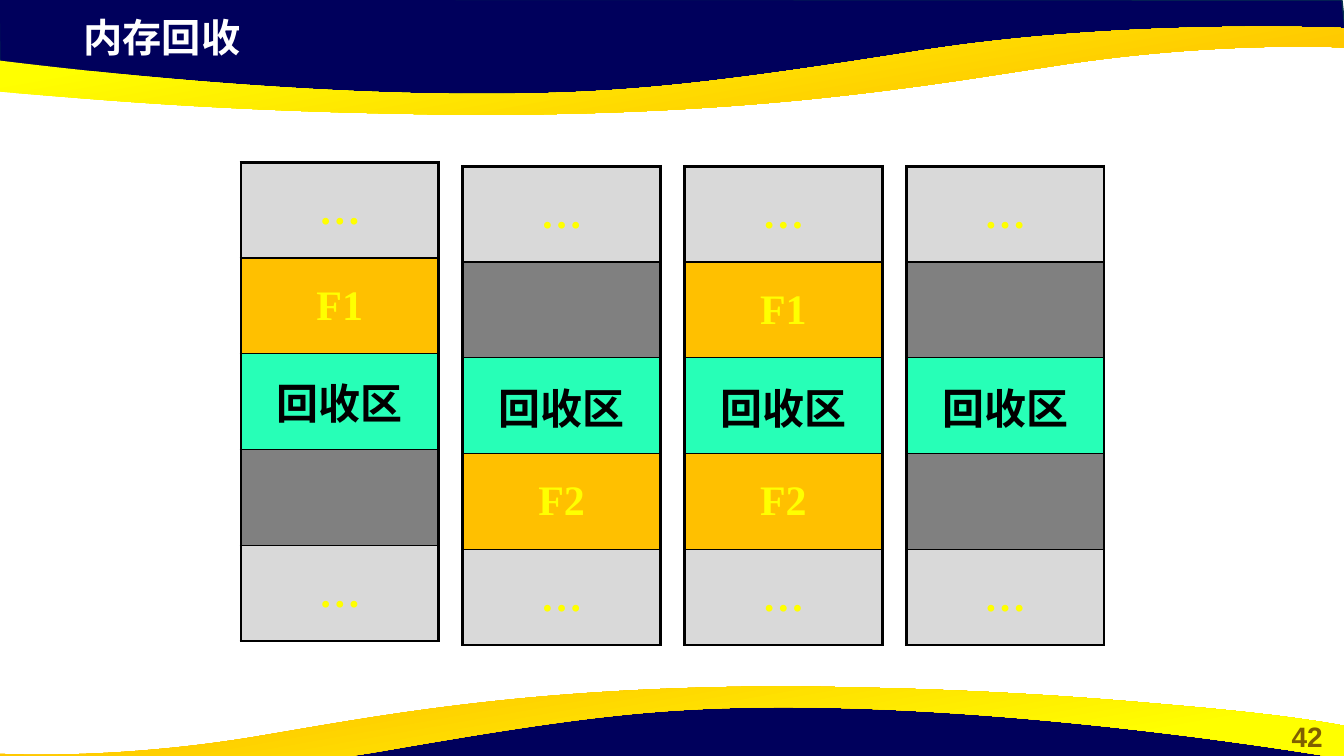
from lxml import etree
from pptx import Presentation
from pptx.dml.color import RGBColor
from pptx.enum.text import MSO_ANCHOR, PP_ALIGN
from pptx.oxml.ns import qn
from pptx.util import Inches, Pt

LEFT, CENTER = PP_ALIGN.LEFT, PP_ALIGN.CENTER
MIDDLE = MSO_ANCHOR.MIDDLE
TITLE_ONLY = 5

COLORS = {
    "navy": "00005C", "navy_edge": "05304F", "gold": "FFC000",
    "yellow": "FFFF00", "white": "FFFFFF", "black": "000000",
    "number": "806000", "other": "D9D9D9", "used": "808080",
    "reclaimed": "27FFB7",
}

CELL_STYLES = {
    "…": ("other", "yellow"),
    "F1": ("gold", "yellow"),
    "F2": ("gold", "yellow"),
    "回收区": ("reclaimed", "black"),
    "": ("used", "black"),
}

MEMORY_CASES = [
    ["…", "F1", "回收区", "", "…"],
    ["…", "", "回收区", "F2", "…"],
    ["…", "F1", "回收区", "F2", "…"],
    ["…", "", "回收区", "", "…"],
]

NAVY_SIZE = (13.36, 1.03)
NAVY_STEPS = [
    [(0, 0)], [(0.01, 0.71)], [(2.94, 1.03)], [(5.6, 1.01)], [(7.96, 0.89)],
    [(10.17, 0.51)], [(12.39, 0.34)], [(13.36, 0.39)], [(13.32, 0.01)],
    [(0, 0)],
]

RIBBON_SIZE = (14.67, 0.88)
RIBBON_STEPS = [
    [(6.16, 0.88)],
    [(5.76, 0.88), (5.34, 0.87), (4.89, 0.86)],
    [(3.39, 0.82), (2.43, 0.74), (1.69, 0.68)],
    [(0.45, 0.58), (0.03, 0.49), (0, 0.49)],
    [(0, 0.16), (0, 0.16), (0, 0.16)],
    [(0, 0.16), (3.51, 0.72), (6.5, 0.67)],
    [(7.59, 0.65), (8.41, 0.57), (10.48, 0.24)],
    [(12.54, -0.08), (14.67, 0.02), (14.67, 0.02)],
    [(14.67, 0.06)],
    [(14.67, 0.21)],
    [(14.63, 0.21)],
    [(14.38, 0.2), (13.28, 0.17), (11.88, 0.38)],
    [(10.51, 0.59), (8.95, 0.87), (6.16, 0.88)],
]


def rgb(name):
    return RGBColor.from_string(COLORS[name])


def write_text(frame, text, size=30, font="Times New Roman", color="black",
               align=CENTER):
    frame.word_wrap = True
    paragraph = frame.paragraphs[0]
    paragraph.alignment = align
    run = paragraph.add_run()
    run.text = text
    run.font.size = Pt(size)
    run.font.name = font
    run.font.bold = True
    run.font.color.rgb = rgb(color)


def place_point(point, box, size, turned):
    left, top, width, height = box
    u, v = point[0] / size[0], point[1] / size[1]
    if turned:
        u, v = 1 - u, 1 - v
    return Inches(left + u * width), Inches(top + v * height)


def draw_outline(slide, box, size, steps, turned):
    placed = [[place_point(point, box, size, turned) for point in step]
              for step in steps]
    builder = slide.shapes.build_freeform(*placed[0][0])
    builder.add_line_segments([step[-1] for step in placed[1:]], close=True)
    outline = builder.convert_to_shape()
    outline.shadow.inherit = False
    segments = list(outline.element.iter(qn("a:lnTo")))
    for segment, step in zip(segments, placed[1:]):
        if len(step) == 3:
            curve = etree.Element(qn("a:cubicBezTo"))
            for x, y in step:
                etree.SubElement(curve, qn("a:pt"), x=str(x - outline.left),
                                 y=str(y - outline.top))
            segment.getparent().replace(segment, curve)
    return outline


def add_wave(slide, navy_box, ribbon_box, turned=False):
    navy = draw_outline(slide, navy_box, NAVY_SIZE, NAVY_STEPS, turned)
    navy.fill.solid()
    navy.fill.fore_color.rgb = rgb("navy")
    navy.line.color.rgb = rgb("navy_edge")
    navy.line.width = Pt(1)

    ribbon = draw_outline(slide, ribbon_box, RIBBON_SIZE, RIBBON_STEPS, turned)
    ribbon.line.fill.background()
    ribbon.fill.gradient()
    ribbon.fill.gradient_angle = 280
    blend = [("gold", 0.11), ("yellow", 0.78)]
    if not turned:
        blend = [("yellow", 0.22), ("gold", 0.89)]
    for stop, (color, position) in zip(ribbon.fill.gradient_stops, blend):
        stop.color.rgb = rgb(color)
        stop.position = position


def set_borders(cell, widths):
    properties = cell._tc.get_or_add_tcPr()
    for index, (side, width) in enumerate(widths.items()):
        border = etree.Element(qn("a:ln" + side), w=str(Pt(width)))
        fill = etree.SubElement(border, qn("a:solidFill"))
        etree.SubElement(fill, qn("a:srgbClr"), val=COLORS["black"])
        properties.insert(index, border)


def add_memory_column(slide, box, blocks):
    memory = slide.shapes.add_table(len(blocks), 1, *map(Inches, box)).table
    memory.first_row = False
    memory.horz_banding = False
    last = len(blocks) - 1
    for row, block in enumerate(blocks):
        fill, color = CELL_STYLES[block]
        cell = memory.cell(row, 0)
        cell.fill.solid()
        cell.fill.fore_color.rgb = rgb(fill)
        cell.vertical_anchor = MIDDLE
        if block:
            write_text(cell.text_frame, block, color=color)
        set_borders(cell, {"L": 2.25, "R": 2.25,
                           "T": 2.25 if row == 0 else 1,
                           "B": 2.25 if row == last else 1})


def add_heading(slide, box, text):
    heading = slide.shapes.title
    heading.element.getparent().append(heading.element)
    heading.left, heading.top, heading.width, heading.height = map(Inches, box)
    heading.text_frame.vertical_anchor = MIDDLE
    write_text(heading.text_frame, text, size=28, font="Arial",
               color="white", align=LEFT)


def add_page_number(slide, box, text):
    number = slide.shapes.add_textbox(*map(Inches, box))
    write_text(number.text_frame, text, size=20, font="Arial", color="number")


def build_reclaim_slide(deck):
    slide = deck.slides.add_slide(deck.slide_layouts[TITLE_ONLY])
    add_wave(slide, (-0.01, -0.01, 13.36, 1.03), (-1.33, 0.26, 14.67, 0.88))
    add_wave(slide, (-0.03, 6.91, 13.36, 1.03), (-0.01, 6.81, 13.34, 0.88),
             turned=True)
    add_page_number(slide, (12.6, 7.09, 0.73, 0.44), "42")
    add_heading(slide, (0.73, 0.08, 7.68, 0.57), "内存回收")
    for index, blocks in enumerate(MEMORY_CASES):
        top = 1.61 if index == 0 else 1.65
        add_memory_column(slide, (2.39 + 2.2 * index, top, 1.96, 4.75), blocks)


def main():
    deck = Presentation()
    deck.slide_width, deck.slide_height = Inches(13.33), Inches(7.5)
    build_reclaim_slide(deck)
    deck.save("out.pptx")


if __name__ == "__main__":
    main()
